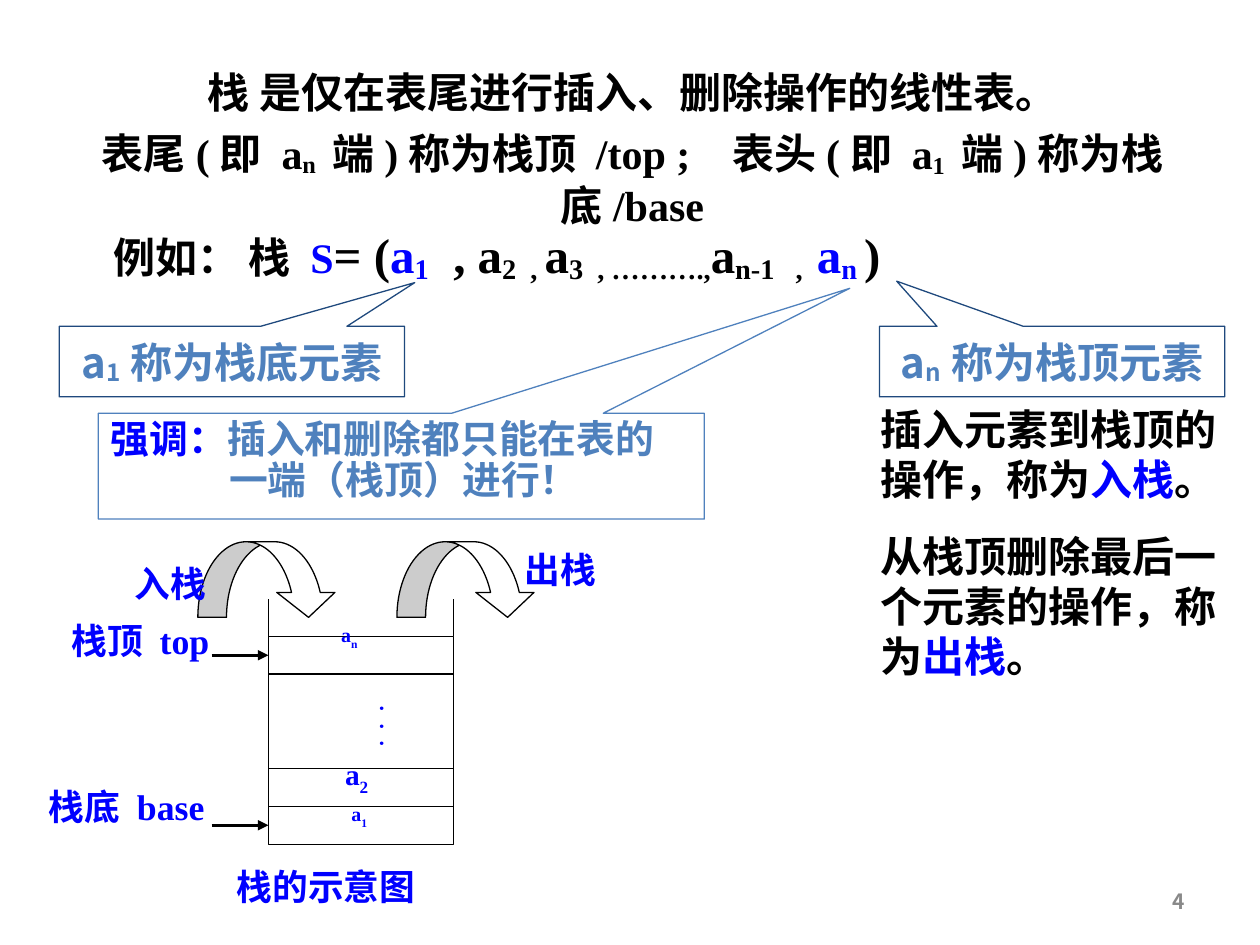
from lxml.etree import SubElement
from pptx import Presentation
from pptx.dml.color import RGBColor
from pptx.enum.shapes import MSO_CONNECTOR, MSO_SHAPE
from pptx.enum.text import MSO_ANCHOR, PP_ALIGN
from pptx.oxml.ns import qn
from pptx.util import Inches, Pt

BLACK = RGBColor(0, 0, 0)
WHITE = RGBColor(255, 255, 255)
BLUE = RGBColor(0, 0, 255)
STEEL = RGBColor(0x4F, 0x81, 0xBD)
NAVY = RGBColor(0x1F, 0x49, 0x7D)
GRAY = RGBColor(0x89, 0x89, 0x89)
SERIF, SANS = "Times New Roman", "Noto Sans CJK SC"
LEFT, CENTER, RIGHT, JUSTIFY = PP_ALIGN.LEFT, PP_ALIGN.CENTER, PP_ALIGN.RIGHT, PP_ALIGN.JUSTIFY

COLS, ROWS = 100, 75
prs = Presentation()
prs.slide_width, prs.slide_height = Inches(10), Inches(7.5)
CELL_W, CELL_H = prs.slide_width / COLS, prs.slide_height / ROWS

BODY = dict(size=24, font=SERIF, color=BLACK)
CALLOUT = dict(size=24, font=SANS, color=STEEL)
LABEL = dict(size=20.4, font=SERIF, color=BLUE)


def gap(points):
    return " ", dict(spacing=points)


def sub(text, drop=12):
    return text, dict(base=-drop)


def color(text, rgb, **style):
    return text, dict(color=rgb, base=0, **style)


DEFINITION = [
    ["栈 是仅在表尾进行插入、删除操作的线性表。"],
    ["表尾(即 a", sub("n ", 10), ("端)称为栈顶 /top ;", dict(base=0)), gap(12),
     "表头(即 a", sub("1 "), ("端)称为栈底/base", dict(base=0))],
]
EXAMPLE = [[
    "例如： 栈 ", color("S", BLUE), color("= (", BLACK, size=28), color("a", BLUE), sub("1"),
    color(" ", BLACK, spacing=7), ", a", sub("2"), gap(4), ", ", ("a", dict(base=0)),
    sub("3"), gap(4), ", ……….,", ("a", dict(base=0)), sub("n-1"), gap(8), ",", gap(4),
    color("a", BLUE), sub("n "), color(")", BLACK),
]]
OPERATIONS = [
    ["插入元素到栈顶的操作，称为", color("入栈", BLUE), color("。", BLACK)],
    ["从栈顶删除最后一个元素的操作，称为", color("出栈", BLUE), color("。", BLACK)],
]
EMPHASIS = [[color("强调：", BLUE), color("插入和删除都只能在表的一端（栈顶）进行！", STEEL)]]

TEXTS = [
    ((6.7, 4.8, 87, 14), DEFINITION, BODY, dict(alignment=CENTER), 6),
    ((8, 17.3, 70.8, 5.8), EXAMPLE, BODY, {}, 0),
    ((68.9, 31.5, 31.1, 23.1), OPERATIONS, BODY, {}, 15),
    ((71.7, 69.5, 23.3, 4), [["4"]], dict(size=12, font=SANS, color=GRAY),
     dict(alignment=RIGHT, anchor=MSO_ANCHOR.MIDDLE), 0),
]
CALLOUTS = [
    (69.8, (-0.45, -1.14), "n", "称为栈顶元素"),
    (4.7, (0.53, -1.12), "1", "称为栈底元素"),
]
STACK_X, STACK_W, STACK_TOP, LEVEL = 21.3, 14.7, 50.5, 3
DIVIDERS = [1, 3.5, 4.5]
POINTERS = [0.5, 5]
ELEMENTS = [
    ((26.9, 63.3, 6.8, 3.5), "1", 11.4),
    ((26.4, 59.7, 6.8, 4.5), "2", 16.8),
    ((26.1, 49.1, 6.8, 3.5), "n", 11.4),
]
MOVES = [15.7, 31.5]
LABELS = [
    ((9, 44.5, 9, 4.5), "入栈", CENTER),
    ((40, 43.4, 9, 4.5), "出栈", CENTER),
    ((4.4, 49, 13.5, 4.5), "栈顶 top", CENTER),
    ((2.3, 62.2, 15.5, 4.5), "栈底 base", CENTER),
    ((17.8, 68.5, 26.6, 4.5), "栈的示意图", JUSTIFY),
]

s = prs.slides.add_slide(prs.slide_layouts[6])


def place(x, y, *size):
    return [round(v * u) for v, u in zip((x, y, *size), (CELL_W, CELL_H) * 2)]


def fill_text(sp, paragraphs, style, layout=None, space=0):
    layout = dict(layout or {})
    tf = sp.text_frame
    tf.word_wrap = True
    tf.vertical_anchor = layout.pop("anchor", MSO_ANCHOR.TOP)
    layout.setdefault("alignment", LEFT)
    for i, runs in enumerate(paragraphs):
        p = tf.add_paragraph() if i else tf.paragraphs[0]
        if i:
            p.space_before = Pt(space)
        for name, value in layout.items():
            setattr(p, name, value)
        current = dict(style)
        for item in runs:
            text, changes = (item, {}) if isinstance(item, str) else item
            current = {**current, "spacing": 0, **changes}
            r = p.add_run()
            r.text = text
            font = dict(size=Pt(current["size"]), name=current["font"], bold=True)
            for name, value in font.items():
                setattr(r.font, name, value)
            r.font.color.rgb = current["color"]
            rPr = r.font._element
            SubElement(rPr, qn("a:ea")).set("typeface", SANS)
            for name, factor, key in (("baseline", 1000, "base"), ("spc", 100, "spacing")):
                if current.get(key):
                    rPr.set(name, str(current[key] * factor))


def add_text(box, *args):
    sp = s.shapes.add_textbox(*place(*box))
    fill_text(sp, *args)
    return sp


def add_shape(kind, box, line, adjustments=()):
    sp = s.shapes.add_shape(kind, *place(*box))
    sp.shadow.inherit = False
    sp.fill.solid()
    sp.fill.fore_color.rgb = WHITE
    sp.line.color.rgb = line
    sp.line.width = Pt(0.75)
    for i, value in enumerate(adjustments):
        sp.adjustments[i] = value
    return sp


def add_line(x1, y1, x2, y2, width=0.75, arrow=False):
    c = s.shapes.add_connector(MSO_CONNECTOR.STRAIGHT, *place(x1, y1, x2, y2))
    c.line.color.rgb = BLACK
    c.line.width = Pt(width)
    if arrow:
        SubElement(c.line._get_or_add_ln(), qn("a:tailEnd")).set("type", "triangle")
    SubElement(c._element.spPr, qn("a:effectLst"))


def level(n):
    return STACK_TOP + n * LEVEL


for i, text in enumerate(TEXTS):
    sp = add_text(*text)
    if i == 0:
        sp.line.color.rgb = WHITE
        sp.line.width = Pt(0.75)

for x, tip, index, meaning in CALLOUTS:
    sp = add_shape(MSO_SHAPE.RECTANGULAR_CALLOUT, (x, 25.9, 27.4, 5.6), NAVY, tip)
    runs = ["a", sub(index, 8), (meaning, dict(base=0))]
    fill_text(sp, [runs], CALLOUT, dict(alignment=CENTER, anchor=MSO_ANCHOR.MIDDLE))

sp = add_shape(MSO_SHAPE.RECTANGULAR_CALLOUT, (7.8, 32.8, 48.1, 8.4), STEEL, (0.74, -1.68))
fill_text(sp, EMPHASIS, dict(BODY, size=22.2), dict(line_spacing=0.9))
pPr = sp.text_frame.paragraphs[0]._p.get_or_add_pPr()
for name, inches in (("marL", 0.94), ("indent", -0.94)):
    pPr.set(name, str(Inches(inches)))

stack_right = STACK_X + STACK_W
add_shape(MSO_SHAPE.RECTANGLE, (STACK_X, STACK_TOP, STACK_W, 5.5 * LEVEL), BLACK)
for n in DIVIDERS:
    add_line(STACK_X, level(n), stack_right, level(n))
for x in (STACK_X, stack_right):
    add_line(x, level(0), x, level(-1))
for box, index, size in ELEMENTS:
    add_text(box, [["a", sub(index, 30)]], dict(LABEL, size=size),
             dict(alignment=JUSTIFY, line_spacing=0.8))
for x in MOVES:
    add_shape(MSO_SHAPE.CURVED_DOWN_ARROW, (x, 43, 11.1, 6), BLACK, (0.38, 0.77, 0.33))
for box, text, alignment in LABELS:
    add_text(box, [[text]], LABEL, dict(alignment=alignment, line_spacing=0.9))
for n in POINTERS:
    add_line(STACK_X - 4.5, level(n), STACK_X, level(n), 1.5, True)

dots = add_text((24.5, 55, 6.8, 6.5), [["．．．"]], dict(LABEL, size=10), dict(alignment=JUSTIFY))
tf = dots.text_frame
tf._txBody.bodyPr.set("vert", "eaVert")
for side, inches in dict(left=0.05, top=0.1, right=0.05, bottom=0.1).items():
    setattr(tf, f"margin_{side}", Inches(inches))

prs.save("out.pptx")
